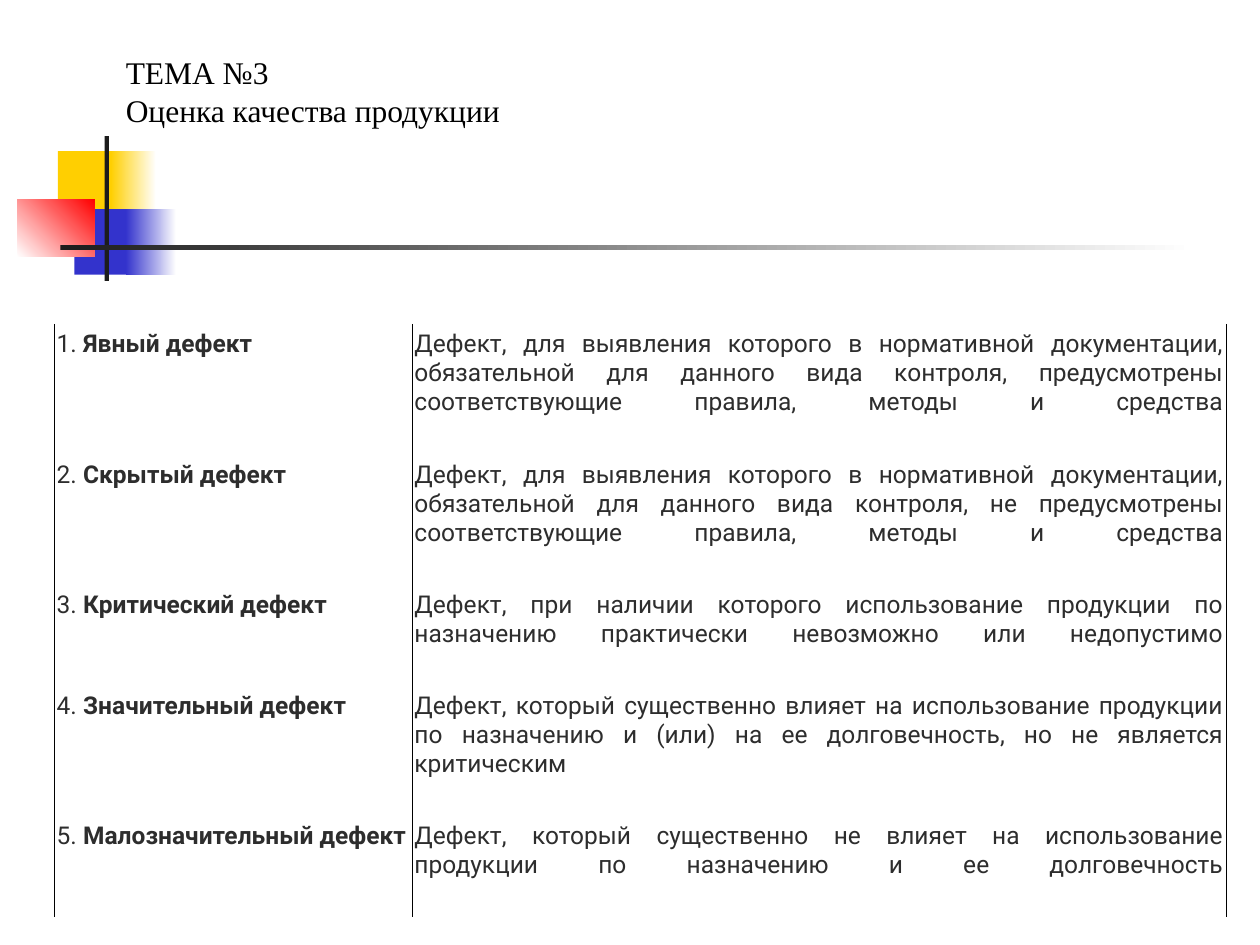
from copy import deepcopy
from typing import NamedTuple, Optional

from lxml.etree import SubElement
from pptx import Presentation
from pptx.dml.color import RGBColor
from pptx.enum.shapes import MSO_SHAPE
from pptx.enum.text import MSO_ANCHOR, PP_ALIGN
from pptx.oxml.ns import qn
from pptx.util import Inches, Pt

COLORS = {
    "white": "FFFFFF", "black": "000000", "dark": "1C1C1C", "text": "2D2D2D",
    "yellow": "FFCF01", "blue": "3333CC", "red": "FF0000",
}
WIDTH, HEIGHT = Inches(10), Inches(7.5)


class Block(NamedTuple):
    """Rectangle in percent of the slide; a second colour makes a gradient."""
    left: float
    top: float
    width: float
    height: float
    color: str
    end: Optional[str] = None
    angle: float = 0


class Defect(NamedTuple):
    name: str
    meaning: str
    height: float


BLOCKS = [
    Block(4.6, 16, 4.8, 6.93, "yellow"),
    Block(8.8, 16, 3.6, 6.93, "yellow", "white"),
    Block(5.9, 22.13, 4.6, 6.93, "blue"),
    Block(10, 22.13, 4, 6.93, "blue", "white"),
    Block(1.4, 21.07, 6.1, 6.13, "white", "red", 45),
    Block(8.3, 14.4, 0.35, 15.33, "dark"),
    Block(4.8, 25.95, 90, 0.5, "dark", "white"),
]
TITLE = ["ТЕМА №3", "Оценка качества продукции"]
DEFECTS = [
    Defect("Явный дефект",
           "Дефект, для выявления которого в нормативной документации, обязательной для данного "
           "вида контроля, предусмотрены соответствующие правила, методы и средства", 12.8),
    Defect("Скрытый дефект",
           "Дефект, для выявления которого в нормативной документации, обязательной для данного "
           "вида контроля, не предусмотрены соответствующие правила, методы и средства", 12.8),
    Defect("Критический дефект",
           "Дефект, при наличии которого использование продукции по назначению практически "
           "невозможно или недопустимо", 9.6),
    Defect("Значительный дефект",
           "Дефект, который существенно влияет на использование продукции по назначению и (или) "
           "на ее долговечность, но не является критическим", 12.8),
    Defect("Малозначительный дефект",
           "Дефект, который существенно не влияет на использование продукции по назначению "
           "и ее долговечность", 9.6),
]
TITLE_FONT = {"name": "Times New Roman", "size": Pt(18)}
CELL_FONT = {"name": "Roboto", "size": Pt(14)}
CELL_FORMAT = {
    "margin_left": Inches(0.02), "margin_right": Inches(0.02),
    "margin_top": Inches(0.05), "margin_bottom": Inches(0.05),
    "vertical_anchor": MSO_ANCHOR.TOP,
}


def across(percent: float) -> int:
    return round(WIDTH * percent / 100)


def down(percent: float) -> int:
    return round(HEIGHT * percent / 100)


def rgb(color: str) -> RGBColor:
    return RGBColor.from_string(COLORS[color])


def set_all(obj, values: dict) -> None:
    for name, value in values.items():
        setattr(obj, name, value)


def add_run(p, text: str, font: dict, color: str, bold: bool = False):
    r = p.add_run()
    r.text = text
    set_all(r.font, {**font, "bold": bold})
    r.font.color.rgb = rgb(color)
    return r


def draw_block(s, block: Block) -> None:
    sp = s.shapes.add_shape(MSO_SHAPE.RECTANGLE, across(block.left), down(block.top),
                            across(block.width), down(block.height))
    sp.shadow.inherit = False
    sp.line.fill.background()
    if block.end is None:
        sp.fill.solid()
        sp.fill.fore_color.rgb = rgb(block.color)
        return
    sp.fill.gradient()
    sp.fill.gradient_angle = block.angle
    for stop, color in zip(sp.fill.gradient_stops, (block.color, block.end)):
        stop.color.rgb = rgb(color)


def draw_title(s) -> None:
    tf = s.shapes.add_textbox(across(9), down(4.93), across(87.4), down(20)).text_frame
    tf.word_wrap = False
    for i, line in enumerate(TITLE):
        p = tf.add_paragraph() if i else tf.paragraphs[0]
        add_run(p, line, TITLE_FONT, "black")


def format_cell(cell) -> None:
    """Thin black side borders, no horizontal ones, white fill."""
    tcPr = cell._tc.get_or_add_tcPr()
    for side in ("lnL", "lnR", "lnT", "lnB"):
        ln = SubElement(tcPr, qn(f"a:{side}"), w=str(Pt(0.34)))
        if side in ("lnL", "lnR"):
            fill = SubElement(ln, qn("a:solidFill"))
            SubElement(fill, qn("a:srgbClr"), val=COLORS["black"])
        else:
            SubElement(ln, qn("a:noFill"))
    cell.fill.solid()
    cell.fill.fore_color.rgb = rgb("white")
    set_all(cell, CELL_FORMAT)


def end_with_break(p, r) -> None:
    """Close with a line break in the run's format, so the last line is justified."""
    p.add_line_break()
    rPr = r._r.get_or_add_rPr()
    p._p[-1].append(deepcopy(rPr))
    end = SubElement(p._p, qn("a:endParaRPr"), dict(rPr.attrib))
    end.extend(deepcopy(list(rPr)))


def draw_table(s) -> None:
    widths = (28.4, 64.6)
    frame = s.shapes.add_table(len(DEFECTS), len(widths), across(4.3), down(34.27),
                               across(sum(widths)), down(sum(d.height for d in DEFECTS)))
    table = frame.table
    set_all(table, {"first_row": False, "horz_banding": False})
    for column, width in zip(table.columns, widths):
        column.width = across(width)
    for i, defect in enumerate(DEFECTS):
        table.rows[i].height = down(defect.height)
        paragraphs = []
        for cell in table.rows[i].cells:
            format_cell(cell)
            p = cell.text_frame.paragraphs[0]
            p.alignment = PP_ALIGN.JUSTIFY
            paragraphs.append(p)
        name, meaning = paragraphs
        add_run(name, f"{i + 1}. ", CELL_FONT, "text")
        add_run(name, defect.name, CELL_FONT, "text", bold=True)
        end_with_break(meaning, add_run(meaning, defect.meaning, CELL_FONT, "text"))


def main() -> None:
    prs = Presentation()
    set_all(prs, {"slide_width": WIDTH, "slide_height": HEIGHT})
    s = prs.slides.add_slide(prs.slide_layouts[6])
    # Corner ornament and rule
    for block in BLOCKS:
        draw_block(s, block)
    # Heading and definitions
    draw_title(s)
    draw_table(s)
    prs.save("out.pptx")


if __name__ == "__main__":
    main()
